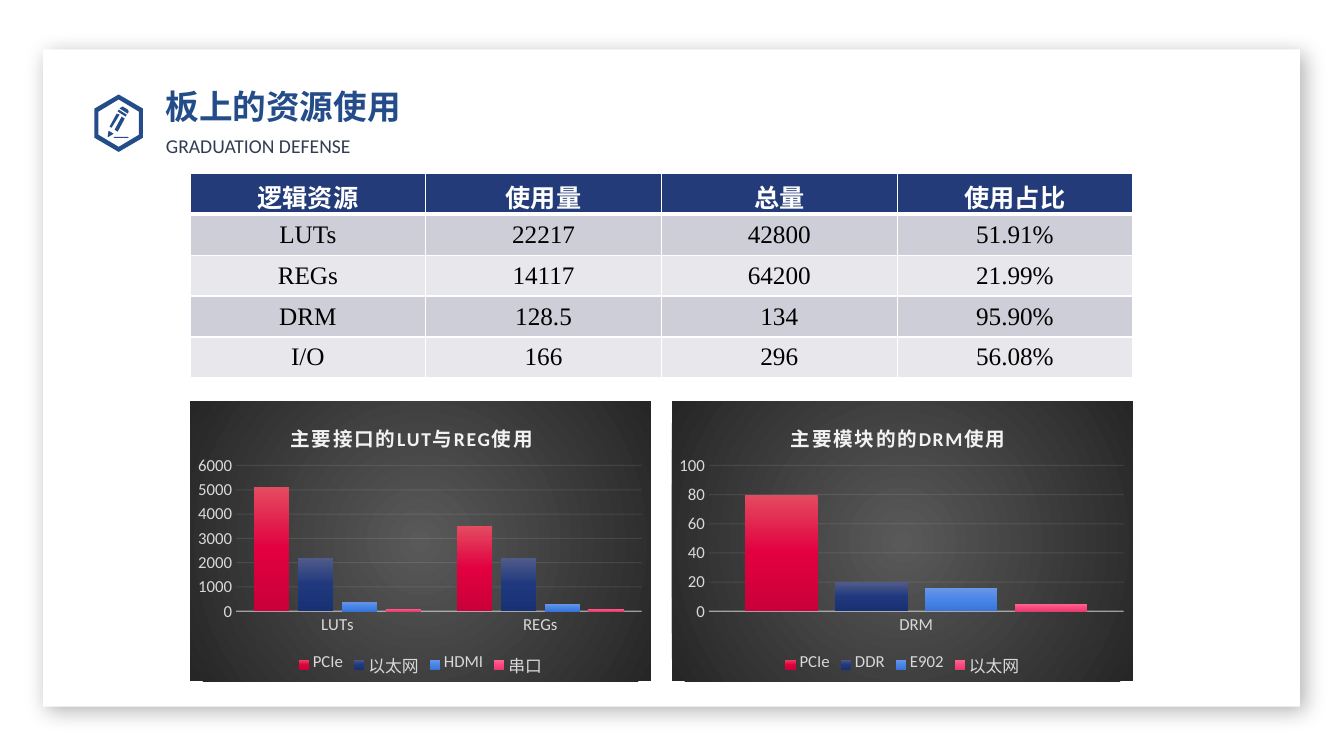
from dataclasses import dataclass

from lxml.etree import SubElement
from pptx import Presentation
from pptx.chart.data import CategoryChartData
from pptx.dml.color import RGBColor
from pptx.dml.line import LineFormat
from pptx.enum.chart import XL_CHART_TYPE, XL_LEGEND_POSITION, XL_TICK_MARK
from pptx.enum.shapes import MSO_SHAPE
from pptx.enum.text import MSO_ANCHOR, PP_ALIGN
from pptx.oxml import parse_xml
from pptx.oxml.ns import nsdecls, qn
from pptx.slide import Slide
from pptx.text.text import Font
from pptx.util import Emu, Pt

PX = 9525  # EMU per px
ICON_UNIT = 9144  # EMU per step of the icon grid

WHITE = RGBColor(0xFF, 0xFF, 0xFF)
BLACK = RGBColor(0x00, 0x00, 0x00)
BLUE = RGBColor(0x24, 0x4C, 0x89)
SLATE = RGBColor(0x31, 0x3D, 0x51)
HEADER = RGBColor(0x24, 0x3B, 0x7A)
BANDS = (RGBColor(0xCD, 0xCE, 0xD7), RGBColor(0xE8, 0xE8, 0xEC))
LABEL = RGBColor(0xD9, 0xD9, 0xD9)
PALE = RGBColor(0xF2, 0xF2, 0xF2)
CHART_BACK = (RGBColor(0x59, 0x59, 0x59), RGBColor(0x26, 0x26, 0x26))
SERIES_FILLS = (
    (RGBColor(0xE3, 0x4B, 0x60), RGBColor(0xE2, 0x00, 0x40), RGBColor(0xC9, 0x00, 0x39)),
    (RGBColor(0x50, 0x5B, 0x8A), RGBColor(0x20, 0x39, 0x7E), RGBColor(0x18, 0x31, 0x74)),
    (RGBColor(0x6A, 0x96, 0xE6), RGBColor(0x4A, 0x86, 0xE8), RGBColor(0x39, 0x75, 0xD7)),
    (RGBColor(0xF9, 0x6A, 0x92), RGBColor(0xFE, 0x48, 0x80), RGBColor(0xE5, 0x3D, 0x70)),
)
DOWNWARD = '<a:lin ang="5400000" scaled="0"/>'
RADIAL = '<a:path path="circle"><a:fillToRect l="50000" t="50000" r="50000" b="50000"/></a:path>'

ICON = (
    ((24, 0), (48, 14), (48, 43), (24, 57), (0, 43), (0, 14)),
    ((24, 5), (44, 17), (44, 40), (24, 52), (4, 40), (4, 17)),
    ((20, 42), (33, 42), (34, 43), (33, 43), (20, 43), (19, 43)),
    ((20, 35), (27, 22), (30, 24), (23, 37)),
    ((15, 32), (22, 19), (25, 20), (17, 33)),
    ((13, 42), (14, 36), (19, 39), (14, 42)),
    ((24, 15), (23, 17), (31, 22), (32, 20)),
    ((26, 13), (28, 12), (33, 15), (34, 17), (33, 19), (25, 14)),
)
RESOURCES = (
    ("逻辑资源", "使用量", "总量", "使用占比"),
    ("LUTs", "22217", "42800", "51.91%"),
    ("REGs", "14117", "64200", "21.99%"),
    ("DRM", "128.5", "134", "95.90%"),
    ("I/O", "166", "296", "56.08%"),
)


@dataclass
class UsageChart:
    left: int
    title: str
    title_x: float
    plot_x: float
    plot_w: float
    top_value: int
    step: int
    cats: tuple[str, ...]
    series: dict[str, tuple[int, ...]]


CHARTS = (
    UsageChart(181, "主要接口的LUT与REG使用", 0.21, 0.1, 0.88, 6000, 1000, ("LUTs", "REGs"),
               {"PCIe": (5100, 3500), "以太网": (2200, 2200), "HDMI": (400, 300), "串口": (100, 100)}),
    UsageChart(640, "主要模块的的DRM使用", 0.25, 0.08, 0.9, 100, 20, ("DRM",),
               {"PCIe": (80,), "DDR": (20,), "E902": (16,), "以太网": (5,)}),
)


def px(n: int) -> Emu:
    return Emu(n * PX)


def set_font(font: Font, name: str, size: int, color: RGBColor, bold: bool = False) -> None:
    font.name, font.size, font.bold = name, Pt(size), bold
    font.color.rgb = color


def gradient(colors: tuple[RGBColor, ...], direction: str):
    stops = "".join(f'<a:gs pos="{i * 100000 // (len(colors) - 1)}"><a:srgbClr val="{c}"/></a:gs>'
                    for i, c in enumerate(colors))
    return parse_xml(f'<a:gradFill {nsdecls("a")} rotWithShape="1"><a:gsLst>{stops}</a:gsLst>{direction}</a:gradFill>')


def pale_line(line: LineFormat, width: float, opacity: int) -> None:
    line.width = Pt(width)
    line.color.rgb = PALE
    color = line._get_or_add_ln().find(".//" + qn("a:srgbClr"))
    SubElement(color, qn("a:alpha"), val=str(opacity * 1000))


def layout(**parts: float | str):
    items = "".join(f'<c:{k} val="{v}"/>' for k, v in parts.items())
    return parse_xml(f'<c:layout {nsdecls("c")}><c:manualLayout>{items}</c:manualLayout></c:layout>')


def add_panel(s: Slide) -> None:
    sp = s.shapes.add_shape(MSO_SHAPE.RECTANGLE, px(41), px(47), px(1197), px(626))
    sp.fill.solid()
    sp.fill.fore_color.rgb = WHITE
    sp.line.fill.background()
    sp._element.spPr.append(parse_xml(
        f'<a:effectLst {nsdecls("a")}><a:outerShdw blurRad="190500" dist="63500" dir="2700000" algn="tl">'
        '<a:srgbClr val="000000"><a:alpha val="30000"/></a:srgbClr></a:outerShdw></a:effectLst>'))
    s.shapes._spTree.insert(2, sp._element)  # behind the title


def add_icon(s: Slide) -> None:
    fb = s.shapes.build_freeform(*ICON[0][0], scale=ICON_UNIT)
    for i, outline in enumerate(ICON):
        if i:
            fb.move_to(*outline[0])
        fb.add_line_segments(outline[1:], close=True)
    sp = fb.convert_to_shape(px(90), px(90))
    sp.shadow.inherit = False
    sp.fill.solid()
    sp.fill.fore_color.rgb = BLUE
    sp.line.fill.background()


def add_heading(s: Slide) -> None:
    title = s.shapes.title
    title.left, title.top, title.width, title.height = px(148), px(79), px(381), px(48)
    subtitle = s.shapes.add_textbox(px(158), px(119), px(208), px(33))
    tf = subtitle.text_frame
    tf.margin_left = tf.margin_top = tf.margin_right = 0
    for sp, text, spacing, font in ((title, "板上的资源使用", 0.9, ("Lato", 24, BLUE, True)),
                                    (subtitle, "GRADUATION DEFENSE", Pt(23), ("Calibri", 14, SLATE))):
        tf = sp.text_frame
        tf.word_wrap = True
        p = tf.paragraphs[0]
        p.alignment, p.line_spacing = PP_ALIGN.LEFT, spacing
        r = p.add_run()
        r.text = text
        set_font(r.font, *font)
    title.text_frame.vertical_anchor = MSO_ANCHOR.MIDDLE


def add_resources(s: Slide) -> None:
    n = len(RESOURCES)
    table = s.shapes.add_table(n, 4, px(181), px(165), px(898), px(39 * n)).table
    for i, row in enumerate(RESOURCES):
        for j, text in enumerate(row):
            cell = table.cell(i, j)
            tc_pr = cell._tc.get_or_add_tcPr()
            for side in "LRTB":
                thick = (i, side) in ((0, "B"), (1, "T"))
                tc_pr.append(parse_xml(
                    f'<a:ln{side} {nsdecls("a")} w="{Pt(3 if thick else 1)}"><a:solidFill>'
                    f'<a:srgbClr val="{WHITE}"/></a:solidFill></a:ln{side}>'))
            cell.fill.solid()
            cell.fill.fore_color.rgb = BANDS[(i - 1) % 2] if i else HEADER
            cell.vertical_anchor = MSO_ANCHOR.MIDDLE
            p = cell.text_frame.paragraphs[0]
            p.alignment = PP_ALIGN.CENTER
            r = p.add_run()
            r.text = text
            set_font(r.font, *(("Times New Roman", 18, BLACK) if i else ("Calibri", 18, WHITE, True)))


def add_usage_chart(s: Slide, spec_: UsageChart) -> None:
    data = CategoryChartData()
    data.categories = spec_.cats
    for name, values in spec_.series.items():
        data.add_series(name, values)
    chart = s.shapes.add_chart(XL_CHART_TYPE.COLUMN_CLUSTERED, px(spec_.left), px(382), px(439), px(267), data).chart
    set_font(chart.font, "Calibri", 10, BLACK)

    # Title, legend and dark backdrop
    p = chart.chart_title.text_frame.paragraphs[0]
    r = p.add_run()
    r.text = spec_.title
    set_font(r.font, "Calibri", 14, PALE, True)
    r._r.get_or_add_rPr().set("spc", "100")
    title = chart.chart_title._element
    for old in title.findall(qn("c:layout")):
        title.remove(old)
    title.find(qn("c:tx")).addnext(layout(xMode="edge", yMode="edge", x=spec_.title_x, y=0.06))
    chart.has_legend = True
    chart.legend.position, chart.legend.include_in_layout = XL_LEGEND_POSITION.BOTTOM, False
    set_font(chart.legend.font, "Calibri", 12, LABEL)
    backdrop = parse_xml(f'<c:spPr {nsdecls("c", "a")}><a:ln><a:noFill/></a:ln></c:spPr>')
    backdrop.insert(0, gradient(CHART_BACK, RADIAL))
    chart._chartSpace.find(qn("c:chart")).addnext(backdrop)

    # Axes and plot area
    cat, val = chart.category_axis, chart.value_axis
    for axis in (cat, val):
        axis.major_tick_mark = axis.minor_tick_mark = XL_TICK_MARK.NONE
        set_font(axis.tick_labels.font, "Calibri", 12, LABEL)
    val.minimum_scale, val.maximum_scale, val.major_unit = 0, spec_.top_value, spec_.step
    val.format.line.fill.background()
    pale_line(cat.format.line, 1, 54)
    pale_line(val.major_gridlines.format.line, 0.75, 10)
    area = chart._chartSpace.find(".//" + qn("c:plotArea"))
    for old in area.findall(qn("c:layout")):
        area.remove(old)
    area.insert(0, layout(layoutTarget="inner", xMode="edge", yMode="edge",
                          x=spec_.plot_x, y=0.23, w=spec_.plot_w, h=0.52))

    # Columns
    plot = chart.plots[0]
    plot.gap_width, plot.overlap, plot.vary_by_categories = 100, -24, False
    for series, colors in zip(plot.series, SERIES_FILLS):
        series._element.get_or_add_spPr().insert(0, gradient(colors, DOWNWARD))


def main() -> None:
    prs = Presentation()
    prs.slide_width, prs.slide_height = px(1280), px(720)
    s = prs.slides.add_slide(prs.slide_layouts[5])
    add_panel(s)
    add_icon(s)
    add_heading(s)
    add_resources(s)
    for usage in CHARTS:
        add_usage_chart(s, usage)
    prs.save("out.pptx")


if __name__ == "__main__":
    main()
